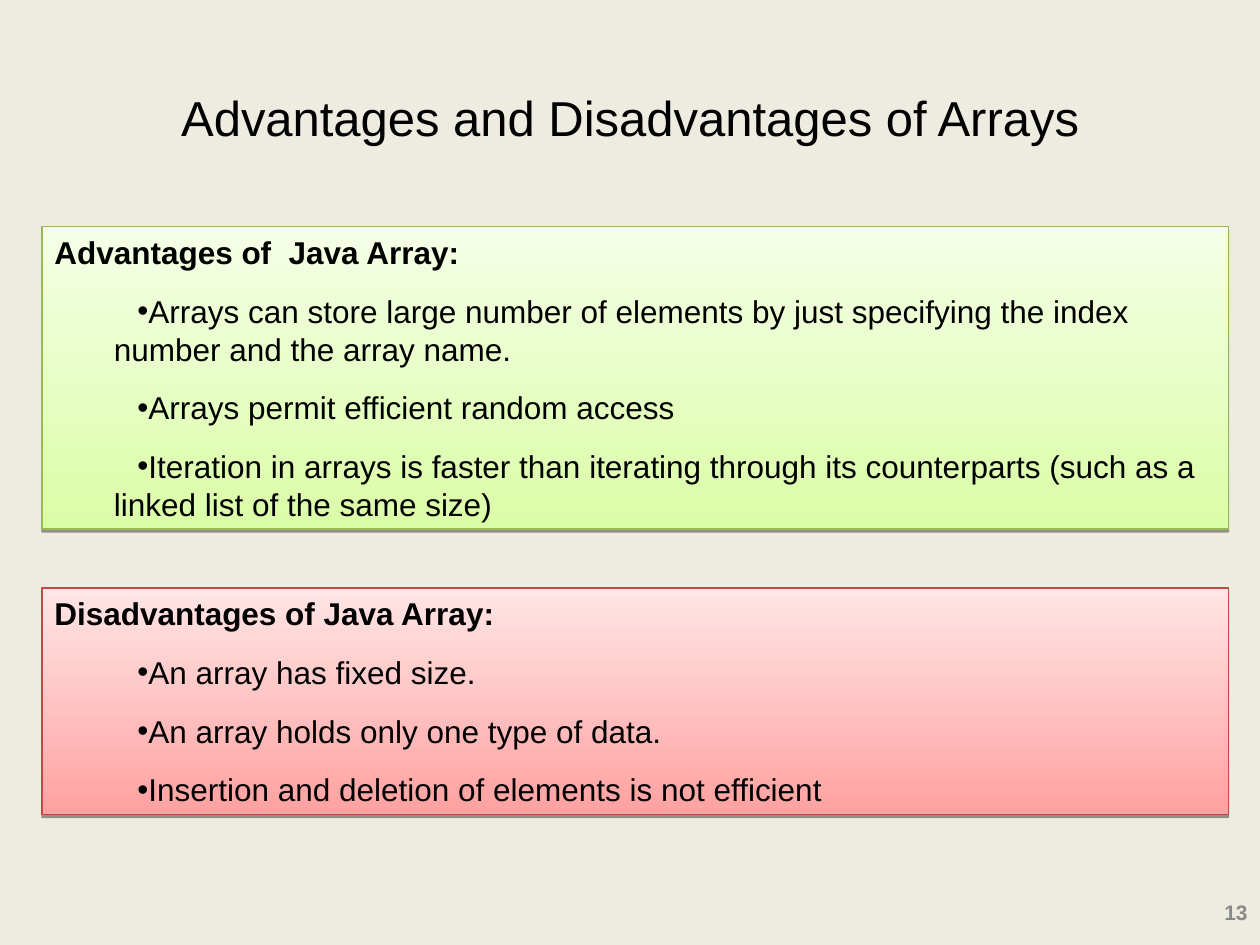
from lxml import etree
from pptx import Presentation
from pptx.dml.color import RGBColor
from pptx.enum import shapes, text
from pptx.oxml import ns
from pptx.util import Pt

FONT = "Arial"
COLORS = {
    "background": "EEECE1",
    "text": "000000",
    "number": "898989",
    "shadow": "000000",
}
TITLE = "Advantages and Disadvantages of Arrays"
PAGE_NUMBER = "13"
PANELS = [
    {
        "top": 336, "height": 129.6,
        "bottom_color": "FFA2A1", "top_color": "FFE5E5", "line": "BE4B48",
        "heading": "Disadvantages of Java Array:",
        "points": [
            "An array has fixed size.",
            "An array holds only one type of data.",
            "Insertion and deletion of elements is not efficient",
        ],
    },
    {
        "top": 129.6, "height": 172.8,
        "bottom_color": "DAFDA7", "top_color": "F5FFE6", "line": "98B954",
        "heading": "Advantages of  Java Array:",
        "points": [
            "Arrays can store large number of elements by just specifying "
            "the index number and the array name.",
            "Arrays permit efficient random access",
            "Iteration in arrays is faster than iterating through its "
            "counterparts (such as a linked list of the same size)",
        ],
    },
]
PANEL_LEFT, PANEL_WIDTH = 24, 678


def rgb(value):
    return RGBColor.from_string(value)


def format_para(para, size, color, align, bold=False):
    para.alignment = align
    para.font.name = FONT
    para.font.size = Pt(size)
    para.font.bold = bold
    para.font.color.rgb = rgb(color)


def add_bullet(para):
    """Bullet whose first line starts further in than the lines below it."""
    para.level = 1
    props = para._p.get_or_add_pPr()
    props.set("marL", str(Pt(34)))
    props.set("indent", str(Pt(13.5)))
    etree.SubElement(props, ns.qn("a:buFont"), typeface=FONT)
    etree.SubElement(props, ns.qn("a:buChar"), char="•")


def add_shadow(shape):
    """Hard shadow just below the shape."""
    shape.shadow.inherit = False
    effects = shape._element.spPr.find(ns.qn("a:effectLst"))
    shadow = etree.SubElement(
        effects, ns.qn("a:outerShdw"), blurRad="0", dist=str(Pt(1.6)),
        dir="5400000", rotWithShape="0")
    color = etree.SubElement(shadow, ns.qn("a:srgbClr"), val=COLORS["shadow"])
    etree.SubElement(color, ns.qn("a:alpha"), val="38000")


def add_panel(page, panel):
    box = page.shapes.add_shape(
        shapes.MSO_SHAPE.RECTANGLE, Pt(PANEL_LEFT), Pt(panel["top"]),
        Pt(PANEL_WIDTH), Pt(panel["height"]))
    box.fill.gradient()
    box.fill.gradient_angle = 90
    stops = zip(box.fill.gradient_stops, (0, 1),
                (panel["bottom_color"], panel["top_color"]))
    for stop, position, color in stops:
        stop.position = position
        stop.color.rgb = rgb(color)
    box.line.color.rgb = rgb(panel["line"])
    box.line.width = Pt(0.75)
    add_shadow(box)

    frame = box.text_frame
    frame.word_wrap = True
    frame.auto_size = text.MSO_AUTO_SIZE.SHAPE_TO_FIT_TEXT
    frame.vertical_anchor = text.MSO_ANCHOR.TOP
    for index, line in enumerate([panel["heading"], *panel["points"]]):
        para = frame.add_paragraph() if index else frame.paragraphs[0]
        para.text = line
        para.space_before = Pt(12)
        format_para(para, 18, COLORS["text"], text.PP_ALIGN.LEFT,
                    bold=index == 0)
        if index:
            add_bullet(para)


def main():
    deck = Presentation()
    deck.slide_width, deck.slide_height = Pt(720), Pt(540)
    page = deck.slides.add_slide(deck.slide_layouts.get_by_name("Title Only"))
    page.background.fill.solid()
    page.background.fill.fore_color.rgb = rgb(COLORS["background"])

    title = page.shapes.title
    title.left, title.top = Pt(36), Pt(21.6)
    title.width, title.height = Pt(648), Pt(90)
    title.text_frame.text = TITLE
    title.text_frame.vertical_anchor = text.MSO_ANCHOR.MIDDLE
    format_para(title.text_frame.paragraphs[0], 28, COLORS["text"],
                text.PP_ALIGN.CENTER)

    number = page.shapes.add_textbox(Pt(684.7), Pt(508.5), Pt(35.3), Pt(25))
    number.text_frame.word_wrap = True
    number.text_frame.vertical_anchor = text.MSO_ANCHOR.MIDDLE
    number.text_frame.text = PAGE_NUMBER
    format_para(number.text_frame.paragraphs[0], 12, COLORS["number"],
                text.PP_ALIGN.RIGHT, bold=True)

    for panel in PANELS:
        add_panel(page, panel)
    deck.save("out.pptx")


if __name__ == "__main__":
    main()
